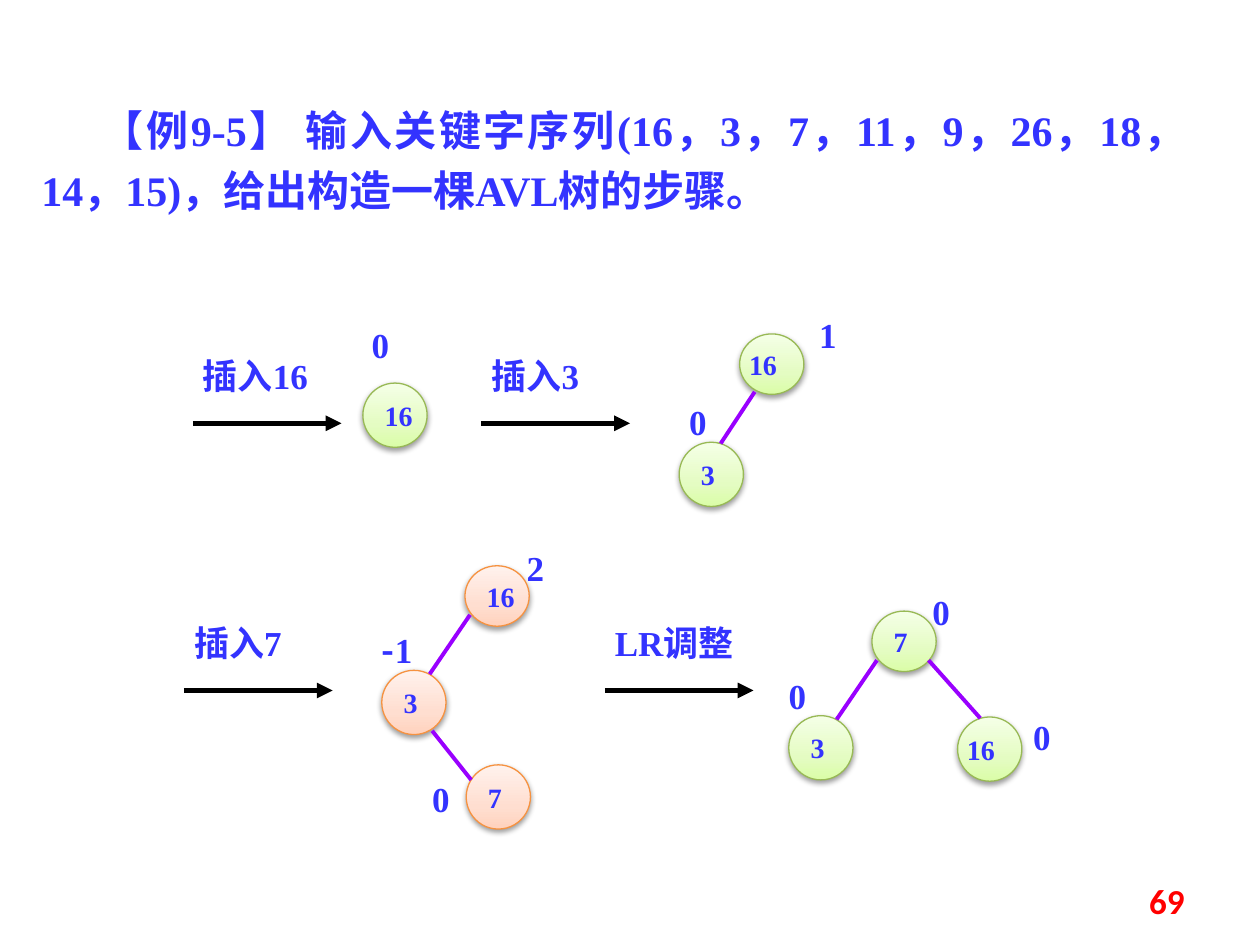
from lxml import etree
from pptx import Presentation
from pptx import util as u
from pptx.dml.color import RGBColor
from pptx.enum import shapes, text
from pptx.oxml import parse_xml
from pptx.oxml.ns import nsdecls, qn

COLORS = {"text": "3333FF", "arrow": "000000", "edge": "9900FF", "page": "FF0000"}
NODE_STYLES = {
    "balanced": {"line": "98B955", "stops": [(0, "DAFDA7"), (35, "E4FCC2"), (100, "F5FFE7")]},
    "unbalanced": {"line": "F69240", "stops": [(0, "FFD2BD"), (35, "FFDED0"), (100, "FFF2ED")]},
}
LATIN, CJK = "Times New Roman", "Noto Sans CJK SC"
TITLE = "【例9-5】 输入关键字序列(16，3，7，11，9，26，18，14，15)，给出构造一棵AVL树的步骤。"
PAGE_NUMBER = "69"
NODE_WIDTH, ROOT_HEIGHT, INSET = 0.51, 0.48, 0.1
ARROW_LENGTH, LABEL_HEIGHT = 1.18, 0.33
ROWS = {"top": 3.36, "bottom": 5.48}

STEPS = [
    {"label": "插入16", "arrow": (1.53, "top"), "style": "balanced",
     "nodes": [("16", 2.88, 3.04, NODE_WIDTH, INSET)],
     "factors": [("0", 2.95, 2.57)], "edges": []},
    {"label": "插入3", "arrow": (3.82, "top"), "style": "balanced",
     "nodes": [("16", 5.87, 2.65, ROOT_HEIGHT, 0), ("3", 5.39, 3.51, NODE_WIDTH, INSET)],
     "factors": [("0", 5.47, 3.18), ("1", 6.5, 2.49)],
     "edges": [(5.99, 3.11, 5.72, 3.52)]},
    {"label": "插入7", "arrow": (1.46, "bottom"), "style": "unbalanced",
     "nodes": [("16", 3.69, 4.49, ROOT_HEIGHT, INSET), ("3", 3.03, 5.32, NODE_WIDTH, INSET),
               ("7", 3.7, 6.07, NODE_WIDTH, INSET)],
     "factors": [("-1", 3.03, 4.99), ("2", 4.18, 4.34), ("0", 3.43, 6.17)],
     "edges": [(3.73, 4.88, 3.41, 5.35), (3.43, 5.8, 3.74, 6.19)]},
    {"label": "LR调整", "arrow": (4.8, "bottom"), "style": "balanced",
     "nodes": [("7", 6.92, 4.85, ROOT_HEIGHT, INSET), ("3", 6.26, 5.68, NODE_WIDTH, INSET),
               ("16", 7.6, 5.69, NODE_WIDTH, 0)],
     "factors": [("0", 6.26, 5.35), ("0", 7.4, 4.69), ("0", 8.2, 5.68)],
     "edges": [(6.96, 5.24, 6.64, 5.71), (7.37, 5.24, 7.78, 5.7)]},
]


def inches(*values):
    return [u.Inches(value) for value in values]


def format_run(run, size, color="text", font=LATIN):
    run.font.size = u.Pt(size)
    run.font.bold = True
    run.font.name = font
    run.font.color.rgb = RGBColor.from_string(COLORS[color])
    etree.SubElement(run.font._element, qn("a:ea")).set("typeface", CJK)


def set_insets(frame, inset):
    frame.margin_left = frame.margin_right = u.Inches(inset)
    frame.margin_top = frame.margin_bottom = u.Inches(inset / 2)


def add_text(slide, box, parts, size, inset=0, color="text"):
    frame = slide.shapes.add_textbox(*inches(*box)).text_frame
    frame.word_wrap = True
    set_insets(frame, inset)
    paragraph = frame.paragraphs[0]
    for content, font in parts:
        run = paragraph.add_run()
        run.text = content
        format_run(run, size, color, font)
    return frame


def add_line(slide, start_x, start_y, end_x, end_y, color, width, arrow=False):
    line = slide.shapes.add_connector(
        shapes.MSO_CONNECTOR.STRAIGHT, *inches(start_x, start_y, end_x, end_y))
    line.line.color.rgb = RGBColor.from_string(COLORS[color])
    line.line.width = u.Pt(width)
    if arrow:
        etree.SubElement(line.line._get_or_add_ln(), qn("a:tailEnd")).set("type", "triangle")
    etree.SubElement(line._element.spPr, qn("a:effectLst"))


def add_node(slide, key, left, top, height, inset, style):
    node = slide.shapes.add_shape(
        shapes.MSO_SHAPE.OVAL, *inches(left, top, NODE_WIDTH, height))
    node.line.color.rgb = RGBColor.from_string(style["line"])
    node.line.width = u.Pt(0.75)
    stops = "".join(
        f'<a:gs pos="{position * 1000}"><a:srgbClr val="{color}"/></a:gs>'
        for position, color in style["stops"])
    gradient = parse_xml(
        f'<a:gradFill {nsdecls("a")} rotWithShape="1"><a:gsLst>{stops}</a:gsLst>'
        '<a:lin ang="16200000" scaled="0"/></a:gradFill>')
    shadow = parse_xml(
        f'<a:effectLst {nsdecls("a")}><a:outerShdw blurRad="40000" dist="20000" '
        'dir="5400000" rotWithShape="0"><a:srgbClr val="000000"><a:alpha val="38000"/>'
        '</a:srgbClr></a:outerShdw></a:effectLst>')
    properties = node._element.spPr
    properties.find(qn("a:ln")).addprevious(gradient)
    properties.append(shadow)
    frame = node.text_frame
    frame.text = key
    frame.word_wrap = inset == 0 or key == "3"
    frame.vertical_anchor = text.MSO_ANCHOR.MIDDLE
    set_insets(frame, inset)
    paragraph = frame.paragraphs[0]
    paragraph.alignment = text.PP_ALIGN.LEFT
    format_run(paragraph.runs[0], 16)


def add_step(slide, step):
    left, row = step["arrow"]
    y = ROWS[row]
    add_line(slide, left, y, left + ARROW_LENGTH, y, "arrow", 3, arrow=True)
    add_text(slide, (left + 0.08, y - 0.55, 1.02, LABEL_HEIGHT), [(step["label"], LATIN)], 20)
    for node in step["nodes"]:
        add_node(slide, *node, NODE_STYLES[step["style"]])
    for factor, factor_left, top in step["factors"]:
        parts = [(sign, CJK if sign == "-" else LATIN) for sign in factor]
        add_text(slide, (factor_left, top, 0.31, LABEL_HEIGHT), parts, 20)
    for edge in step["edges"]:
        add_line(slide, *edge, "edge", 2.25)


def main():
    presentation = Presentation()
    presentation.slide_width, presentation.slide_height = inches(10, 7.5)
    slide = presentation.slides.add_slide(presentation.slide_layouts[6])
    title = add_text(slide, (0.23, 0.7, 9.28, 1.15), [(TITLE, LATIN)], 24, INSET).paragraphs[0]
    title.alignment = text.PP_ALIGN.JUSTIFY
    title.line_spacing = 1.2
    title._p.get_or_add_pPr().set("indent", str(u.Inches(0.48)))
    for step in STEPS:
        add_step(slide, step)
    page = add_text(slide, (7.17, 6.95, 2.33, 0.4), [(PAGE_NUMBER, "Calibri")], 20, INSET, "page")
    page.vertical_anchor = text.MSO_ANCHOR.MIDDLE
    page.paragraphs[0].alignment = text.PP_ALIGN.RIGHT
    presentation.save("out.pptx")


if __name__ == "__main__":
    main()
